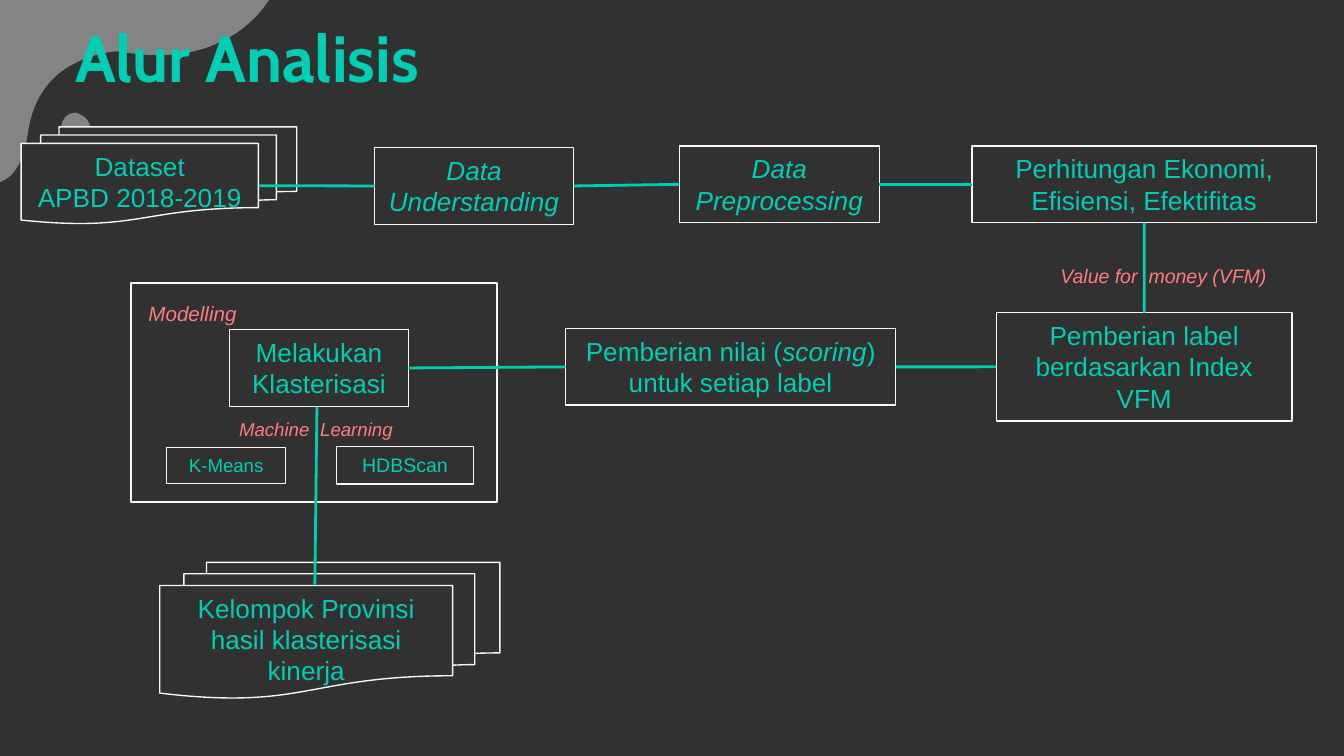
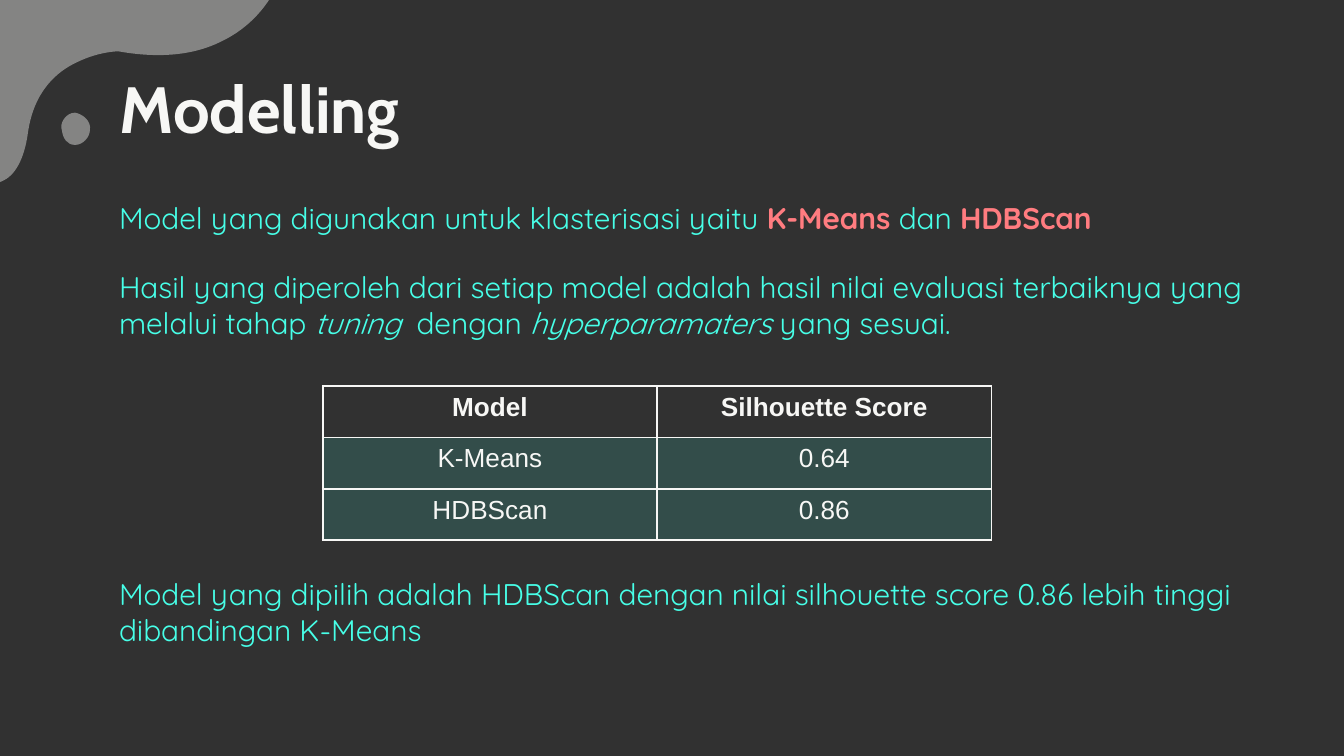
import lxml.etree
import pptx
import pptx.dml.color
import pptx.enum.shapes
import pptx.enum.text
import pptx.oxml.ns
import pptx.util

Cm = pptx.util.Cm
Pt = pptx.util.Pt
qn = pptx.oxml.ns.qn
SHAPES = pptx.enum.shapes.MSO_SHAPE
ALIGN = pptx.enum.text.PP_ALIGN
ANCHOR = pptx.enum.text.MSO_ANCHOR

# Shared look
DARK, LIGHT, TEAL, LINE_TEAL = "313131", "F7F7F5", "00CEB5", "00CEB3"
AQUA, PINK, ROW_GREEN = "47FFE8", "FF7C80", "334D4A"
TOP, LEFT, BOTTOM, RIGHT = range(4)  # connection sites of a rectangle

# Corner decoration: a start point, then Bezier segments (cm)
BLOB = ((0.23, -5.54), [
    ((0.03, -5.46), (-0.1, -5.28), (-0.18, -5.03)),
    ((-0.41, -4.22), (-0.13, -3.05), (-0.13, -3.05)),
    ((0.1, -1.52), (-0.74, -0.71), (-0.74, -0.71)),
    ((-2.01, 0.3), (-1.42, 2.24), (-1.42, 2.24)),
    ((-1.12, 3.18), (-0.46, 3.66), (0.03, 3.43)),
    ((0.28, 3.33), (0.46, 3.02), (0.53, 2.51)),
    ((0.64, 1.73), (1.07, 1.35), (1.47, 1.17)),
    ((1.88, 0.97), (2.24, 0.97), (2.24, 0.97)),
    ((3.07, 1.12), (3.71, 1.02), (4.17, 0.79)),
    ((4.83, 0.48), (5.16, -0.05), (5.31, -0.43)),
    ((5.38, -0.64), (5.44, -0.89), (5.46, -1.17)),
    ((5.54, -3.2), (4.83, -3.96), (4.29, -4.27)),
    ((4.06, -4.39), (3.84, -4.45), (3.66, -4.42)),
    ((2.62, -4.32), (1.75, -4.88), (1.27, -5.28)),
    ((0.89, -5.59), (0.51, -5.69), (0.23, -5.54)),
])
DOT = ((1.42, 2.13), [
    ((1.24, 2.13), (1.12, 2.34), (1.17, 2.46)),
    ((1.19, 2.62), (1.27, 2.74), (1.42, 2.74)),
    ((1.57, 2.74), (1.7, 2.59), (1.7, 2.46)),
    ((1.73, 2.29), (1.57, 2.16), (1.42, 2.13)),
])


def rgb(color):
    return pptx.dml.color.RGBColor.from_string(color)


def lengths(values):
    return [Cm(value) for value in values]


def style_font(font, size, color, name="Arial", bold=False, italic=False):
    font.size, font.name = Pt(size), name
    font.bold, font.italic = bold, italic
    font.color.rgb = rgb(color)


def add_runs(paragraph, runs):
    """Each run is a text, or a text with the font settings that differ."""
    for item in runs:
        text, changes = (item, {}) if isinstance(item, str) else item
        run = paragraph.add_run()
        run.text = text
        for key, value in changes.items():
            if key == "color":
                run.font.color.rgb = rgb(value)
            elif key == "spacing":
                run._r.get_or_add_rPr().set("spc", str(value * 100))
            else:
                setattr(run.font, key, value)


def fill_text(frame, paragraphs, align, size, color, **font):
    frame.word_wrap = True
    frame.vertical_anchor = ANCHOR.TOP
    for index, runs in enumerate(paragraphs):
        paragraph = frame.add_paragraph() if index else frame.paragraphs[0]
        paragraph.alignment = align
        style_font(paragraph.font, size, color, **font)
        add_runs(paragraph, runs)


def set_margins(frame, margin):
    frame.margin_left = frame.margin_right = Cm(margin)
    frame.margin_top = frame.margin_bottom = Cm(margin)


def curve_segments(shape):
    """Turn every three straight segments into one Bezier curve."""
    lines = shape.element.findall(".//" + qn("a:lnTo"))
    for index in range(0, len(lines), 3):
        curve = lxml.etree.Element(qn("a:cubicBezTo"))
        lines[index].addprevious(curve)
        for line in lines[index:index + 3]:
            curve.append(line[0])
            line.getparent().remove(line)


def add_decoration(slide, layout, start, segments, position):
    """Draw a translucent outline and move it to the shared layout."""
    builder = slide.shapes.build_freeform(*lengths(start))
    builder.add_line_segments(
        [lengths(point) for segment in segments for point in segment], close=True)
    shape = builder.convert_to_shape()
    curve_segments(shape)
    shape.shadow.inherit = False
    shape.fill.solid()
    shape.fill.fore_color.rgb = rgb(LIGHT)
    shape.line.fill.background()
    color = shape.element.spPr.find(".//" + qn("a:srgbClr"))
    lxml.etree.SubElement(color, qn("a:alpha")).set("val", "42000")
    layout.shapes.element.insert(position, shape.element)


def add_title(slide, text, left, top, color):
    title = slide.shapes.title
    title.left, title.top, title.width, title.height = lengths((left, top, 21.41, 1.6))
    frame = title.text_frame
    fill_text(frame, [[text]], ALIGN.LEFT, 35, color, name="Cabin", bold=True)
    frame.vertical_anchor = ANCHOR.MIDDLE
    frame.auto_size = pptx.enum.text.MSO_AUTO_SIZE.NONE
    set_margins(frame, 0.25)


def add_box(slide, place, paragraphs=(), size=14, kind=SHAPES.RECTANGLE,
            fill=DARK, line=0.75, **font):
    shape = slide.shapes.add_shape(kind, *lengths(place))
    shape.shadow.inherit = False
    if fill:
        shape.fill.solid()
        shape.fill.fore_color.rgb = rgb(fill)
    else:
        shape.fill.background()
    shape.line.color.rgb = rgb(LIGHT)
    shape.line.width = Pt(line)
    fill_text(shape.text_frame, paragraphs, ALIGN.CENTER, size, TEAL, **font)
    return shape


def add_label(slide, place, first, second, size):
    """Pink caption; two halves leave room for the line between them."""
    box = slide.shapes.add_textbox(*lengths(place))
    runs = [first, (" ", {"spacing": 3}), second] if second else [first]
    fill_text(box.text_frame, [runs], ALIGN.CENTER, size, PINK, italic=True)


def connect(slide, start, end):
    """Each end is a (shape, site) pair or a point in cm."""
    connector = slide.shapes.add_connector(
        pptx.enum.shapes.MSO_CONNECTOR.STRAIGHT, 0, 0, 0, 0)
    connector.line.color.rgb = rgb(LINE_TEAL)
    connector.line.width = Pt(1.5)
    lxml.etree.SubElement(connector.element.spPr, qn("a:effectLst"))
    if isinstance(start[0], float):
        connector.begin_x, connector.begin_y = lengths(start)
    else:
        connector.begin_connect(*start)
    if isinstance(end[0], float):
        connector.end_x, connector.end_y = lengths(end)
    else:
        connector.end_connect(*end)


def add_body_text(slide, top, runs):
    box = slide.shapes.add_textbox(*lengths((2.0, top, 22.58, 1.47)))
    set_margins(box.text_frame, 0.25)
    fill_text(box.text_frame, [runs], ALIGN.LEFT, 16, AQUA, name="Quicksand")


def set_borders(cell):
    properties = cell._tc.get_or_add_tcPr()
    for index, side in enumerate(("lnL", "lnR", "lnT", "lnB")):
        line = lxml.etree.Element(qn("a:" + side), w=str(Pt(1)))
        solid = lxml.etree.SubElement(line, qn("a:solidFill"))
        lxml.etree.SubElement(solid, qn("a:srgbClr")).set("val", LIGHT)
        properties.insert(index, line)


def add_score_table(slide, rows):
    column_width, row_height = 6.32, 0.97
    size = (column_width * len(rows[0]), row_height * len(rows))
    table = slide.shapes.add_table(
        len(rows), len(rows[0]), *lengths((6.1, 7.3) + size)).table
    for row_index, row in enumerate(rows):
        header = row_index == 0
        for column_index, text in enumerate(row):
            cell = table.cell(row_index, column_index)
            cell.fill.solid()
            cell.fill.fore_color.rgb = rgb(DARK if header else ROW_GREEN)
            set_borders(cell)
            paragraph = cell.text_frame.paragraphs[0]
            paragraph.alignment = ALIGN.CENTER
            style_font(paragraph.font, 14, LIGHT, bold=header)
            add_runs(paragraph, [text])


def build_flow(slide):
    add_title(slide, "Alur Analisis", 1.17, 0.26, TEAL)

    # Steps
    documents = SHAPES.FLOWCHART_MULTIDOCUMENT
    add_box(slide, (0.4, 2.4, 5.21, 1.83), [["Dataset"], ["APBD 2018-2019"]],
            kind=documents)
    understanding = add_box(slide, (7.08, 2.79, 3.76, 1.45),
                            [["Data Understanding"]], italic=True)
    preprocessing = add_box(slide, (12.84, 2.76, 3.78, 1.45),
                            [["Data Preprocessing"]], italic=True)
    calculation = add_box(slide, (18.37, 2.76, 6.51, 1.45),
                          [["Perhitungan Ekonomi, Efisiensi, Efektifitas"]])
    labelling = add_box(slide, (18.83, 5.91, 5.59, 2.05),
                        [["Pemberian label berdasarkan Index VFM"]])
    scoring = add_box(slide, (10.69, 6.21, 6.24, 1.45), [[
        "Pemberian nilai (", ("scoring", {"italic": True}), ") untuk setiap label"]])

    # Modelling frame
    add_box(slide, (2.47, 5.35, 6.92, 4.14), fill=None, line=1)
    clustering = add_box(slide, (4.34, 6.23, 3.38, 1.45), [["Melakukan Klasterisasi"]])
    add_box(slide, (3.15, 8.46, 2.25, 0.68), [["K-Means"]], size=10, fill=None)
    add_box(slide, (6.36, 8.44, 2.59, 0.71), [["HDBScan"]], size=10.5, fill=None)
    add_box(slide, (3.02, 10.63, 6.43, 2.57),
            [["Kelompok Provinsi hasil klasterisasi kinerja"]], kind=documents)

    # Links between steps
    connect(slide, (4.9, 3.51), (understanding, LEFT))
    connect(slide, (understanding, RIGHT), (preprocessing, LEFT))
    connect(slide, (preprocessing, RIGHT), (calculation, LEFT))
    connect(slide, (calculation, BOTTOM), (labelling, TOP))
    connect(slide, (labelling, LEFT), (scoring, RIGHT))
    connect(slide, (scoring, LEFT), (clustering, RIGHT))
    connect(slide, (5.95, 11.05), (5.99, 7.69))

    # Captions
    add_label(slide, (4.19, 7.77, 3.56, 0.71), "Machine", "Learning", 10)
    add_label(slide, (1.86, 5.56, 3.56, 0.74), "Modelling", None, 11)
    add_label(slide, (19.63, 4.86, 4.72, 0.71), "Value for", "money (VFM)", 10.5)


def build_modelling(slide):
    add_title(slide, "Modelling", 2.01, 1.23, LIGHT)
    strong, slanted = {"color": PINK, "bold": True}, {"italic": True}
    add_body_text(slide, 3.53, [
        "Model yang digunakan untuk klasterisasi yaitu ", ("K-Means", strong),
        " dan ", ("HDBScan", strong)])
    add_body_text(slide, 4.83, [
        "Hasil yang diperoleh dari setiap model adalah hasil nilai evaluasi "
        "terbaiknya yang melalui tahap ", ("tuning", slanted),
        (" ", {"spacing": 4}), "dengan ",
        ("hyperparamaters", slanted), " yang sesuai."])
    add_score_table(slide, [("Model", "Silhouette Score"),
                            ("K-Means", "0.64"), ("HDBScan", "0.86")])
    add_body_text(slide, 10.63, [
        "Model yang dipilih adalah HDBScan dengan nilai silhouette score 0.86 "
        "lebih tinggi dibandingan K-Means"])


def main():
    presentation = pptx.Presentation()
    presentation.slide_width, presentation.slide_height = Cm(25.4), Cm(14.29)
    layout = presentation.slide_layouts.get_by_name("Title Only")
    layout.background.fill.solid()
    layout.background.fill.fore_color.rgb = rgb(DARK)
    flow = presentation.slides.add_slide(layout)
    for position, (start, segments) in enumerate((BLOB, DOT), 2):
        add_decoration(flow, layout, start, segments, position)
    build_flow(flow)
    build_modelling(presentation.slides.add_slide(layout))
    presentation.save("out.pptx")


if __name__ == "__main__":
    main()
